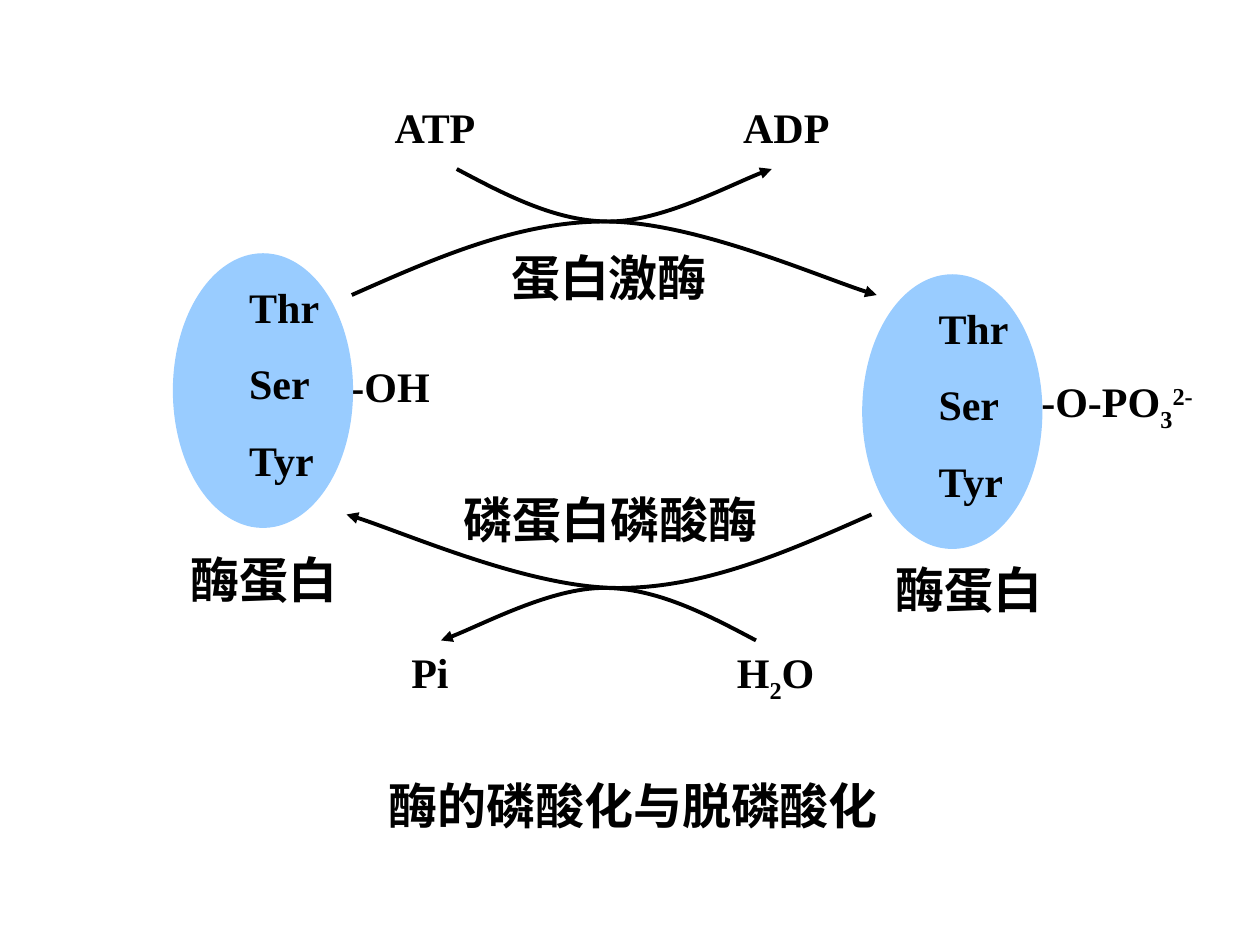
from lxml.etree import SubElement
from pptx import Presentation
from pptx.dml.color import RGBColor
from pptx.enum.shapes import MSO_SHAPE as Shape
from pptx.enum.text import MSO_ANCHOR as Anchor, MSO_AUTO_SIZE as AutoSize, PP_ALIGN as Align
from pptx.oxml.ns import qn
from pptx.util import Inches, Pt

COLORS = {"ink": "000000", "protein": "99CCFF"}
COLUMNS, ROWS = 120, 90
LABEL, NAME = 24, 28
LONG_ARC = [(0, 0), (7.9, -3.5), (15.8, -7), (24.1, -7), (32.5, -7), (45.7, -1.2), (50, 0)]
SHORT_ARC = [(0, 0), (4.7, 2.5), (9.5, 5), (14.5, 5), (19.5, 5), (27.3, 0.85), (30, 0)]


class Diagram:
    font = "Times New Roman"

    def __init__(self, deck):
        self.slide = deck.slides.add_slide(deck.slide_layouts[5])
        self.column = deck.slide_width / COLUMNS
        self.row = deck.slide_height / ROWS

    def point(self, x, y):
        return round(x * self.column), round(y * self.row)

    def color(self, key):
        return RGBColor.from_string(COLORS[key])

    def fill_text(self, frame, lines, size, align=Align.LEFT):
        frame.word_wrap = True
        frame.auto_size = AutoSize.NONE
        frame.vertical_anchor = Anchor.TOP
        for index, line in enumerate(lines):
            paragraph = frame.paragraphs[0] if index == 0 else frame.add_paragraph()
            paragraph.alignment = align
            if index:
                paragraph.space_before = Pt(15)
            for words, baseline in line:
                run = paragraph.add_run()
                run.text = words
                if baseline:
                    run.font._element.set("baseline", str(baseline * 1000))
            font = paragraph.font
            font.name, font.size, font.bold = self.font, Pt(size), True
            font.color.rgb = self.color("ink")

    def title(self, words, x, y, width, height):
        title = self.slide.shapes.title
        title.left, title.top = self.point(x, y)
        title.width, title.height = self.point(width, height)
        self.fill_text(title.text_frame, [[(words, 0)]], NAME, Align.CENTER)

    def text(self, lines, x, y, width, height, size=LABEL):
        box = self.slide.shapes.add_textbox(*self.point(x, y), *self.point(width, height))
        self.fill_text(box.text_frame, lines, size)

    def label(self, words, x, y, width=13, height=6, size=LABEL):
        self.text([[(words, 0)]], x, y, width, height, size)

    def protein(self, x, y):
        body = self.slide.shapes.add_shape(Shape.OVAL, *self.point(x, y), *self.point(17, 26))
        body.shadow.inherit = False
        body.fill.solid()
        body.fill.fore_color.rgb = self.color("protein")
        body.line.color.rgb = self.color("protein")
        body.line.width = Pt(1)
        self.text([[(residue, 0)] for residue in ("Thr", "Ser", "Tyr")], x + 6, y + 2, 10, 20.7)

    def arc(self, x, y, offsets, direction):
        start, *controls = [self.point(x + direction * dx, y + direction * dy) for dx, dy in offsets]
        builder = self.slide.shapes.build_freeform(*start)
        builder.add_line_segments(controls, close=False)
        arrow = builder.convert_to_shape()
        arrow.shadow.inherit = False
        arrow.fill.background()
        arrow.line.color.rgb = self.color("ink")
        arrow.line.width = Pt(2.25)
        properties = arrow._element.spPr
        SubElement(properties.find(qn("a:ln")), qn("a:tailEnd"), type="triangle")
        outline = next(properties.iter(qn("a:path")))
        segments = outline.findall(qn("a:lnTo"))
        for first in range(0, len(segments), 3):
            curve = SubElement(outline, qn("a:cubicBezTo"))
            for segment in segments[first:first + 3]:
                curve.append(segment[0])
                outline.remove(segment)


def main():
    deck = Presentation()
    deck.slide_width, deck.slide_height = Inches(10), Inches(7.5)
    diagram = Diagram(deck)
    diagram.title("酶的磷酸化与脱磷酸化", 29.8, 73.3, 61, 6.9)

    diagram.label("-OH", 32.2, 33.7, 17)
    diagram.protein(16.55, 24.2)
    diagram.label("酶蛋白", 17, 51.7, 23.6, 6.9, NAME)

    diagram.arc(72, 61, SHORT_ARC, -1)
    diagram.text([[("H", 0), ("2", -25), ("O", 0)]], 69, 61, 13, 6.7)
    diagram.arc(83, 49, LONG_ARC, -1)
    diagram.label("Pi", 38, 61)
    diagram.label("磷蛋白磷酸酶", 43, 46, 33, 6.9, NAME)

    diagram.arc(33.5, 28.1, LONG_ARC, 1)
    diagram.label("ATP", 36.4, 9.1)
    diagram.arc(43.5, 16.1, SHORT_ARC, 1)
    diagram.label("ADP", 69.6, 9.1)
    diagram.label("蛋白激酶", 47.5, 23, 26, 6.9, NAME)

    diagram.protein(82.2, 26.2)
    diagram.text([[("-O-PO", 0), ("3", -25), ("2-", 30)]], 98, 35.2, 17.7, 6.7)
    diagram.label("酶蛋白", 84.1, 52.7, 20.8, 6.9, NAME)
    deck.save("out.pptx")


if __name__ == "__main__":
    main()
